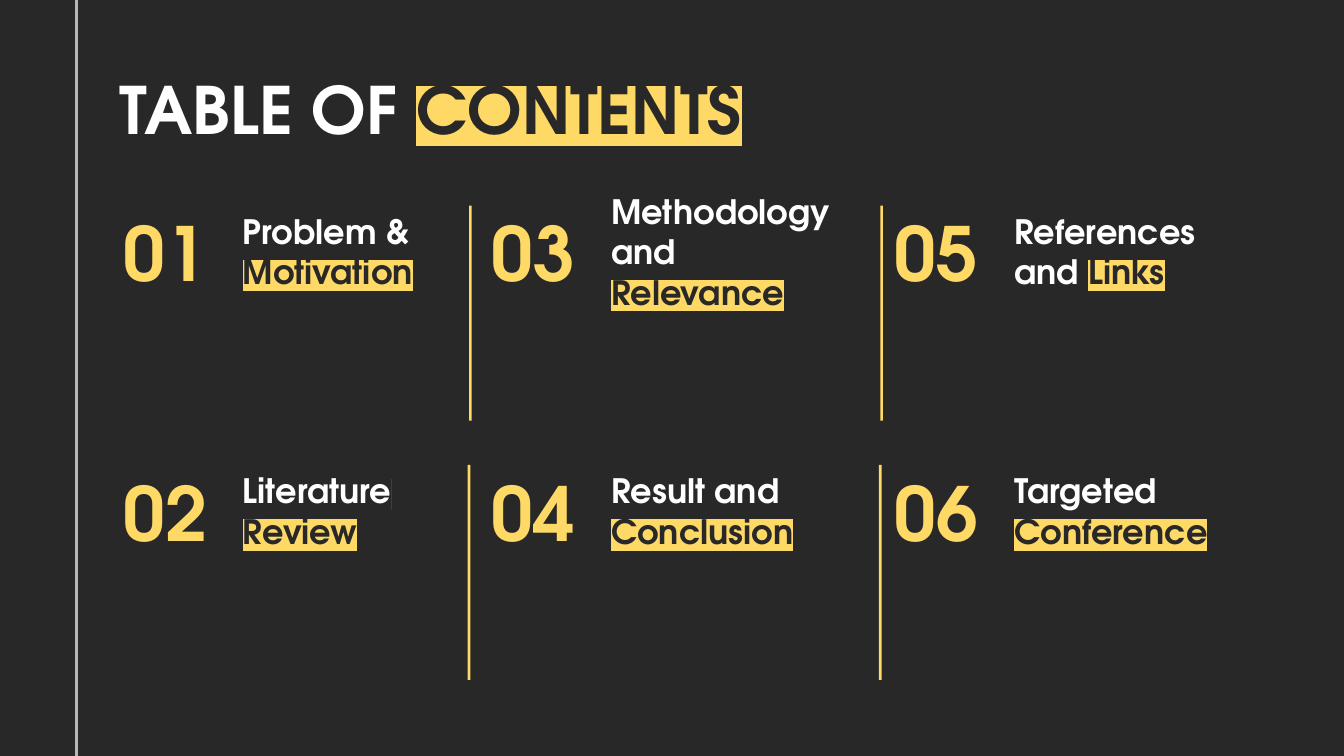
from dataclasses import dataclass

from lxml.etree import SubElement
from pptx import Presentation
from pptx.dml.color import RGBColor
from pptx.enum.shapes import MSO_SHAPE
from pptx.enum.text import MSO_ANCHOR
from pptx.oxml.ns import qn
from pptx.util import Inches, Pt


@dataclass(frozen=True)
class Theme:
    font: str = "TeX Gyre Adventor"
    dark: str = "292828"
    light: str = "FFFFFF"
    accent: str = "FFD966"
    margin_line: str = "B7B7B7"
    title_size: int = 35
    number_size: int = 40
    topic_size: int = 18


THEME = Theme()

# Each topic: plain words, highlighted words, width of its text box
COLUMNS = [
    (0.82, [("Problem & ", "Motivation", 1.74), ("Literature", " Review", 1.74)]),
    (3.56, [("Methodology and ", "Relevance", 1.99), ("Result and ", "Conclusion", 2.15)]),
    (6.56, [("References and ", "Links", 1.74), ("Targeted ", "Conference", 1.74)]),
]
ROW_TOPS = [1.43, 3.36]
DIVIDERS = [(3.49, 1.53), (6.55, 1.53), (3.48, 3.46), (6.54, 3.46)]


def highlight(run, color):
    properties = run.font._element
    marker = SubElement(properties, qn("a:highlight"))
    SubElement(marker, qn("a:srgbClr")).set("val", color)
    properties.find(qn("a:solidFill")).addnext(marker)


def add_text(slide, left, top, width, height, size, parts):
    """Add one paragraph of (text, color, highlight color or None) parts."""
    box = slide.shapes.add_textbox(Inches(left), Inches(top), Inches(width), Inches(height))
    frame = box.text_frame
    frame.word_wrap = True
    frame.vertical_anchor = MSO_ANCHOR.MIDDLE
    frame.margin_left = frame.margin_right = Inches(0.1)
    frame.margin_top = frame.margin_bottom = Inches(0.1)
    paragraph = frame.paragraphs[0]
    paragraph.font.name = THEME.font
    paragraph.font.size = Pt(size)
    paragraph.font.bold = True
    for text, color, marker in parts:
        run = paragraph.add_run()
        run.text = text
        run.font.color.rgb = RGBColor.from_string(color)
        if marker:
            highlight(run, marker)


def add_heading(slide, left, top, width, height, size, plain, marked):
    parts = [(plain, THEME.light, None), (marked, THEME.dark, THEME.accent)]
    add_text(slide, left, top, width, height, size, parts)


def add_bar(slide, left, top, height, color):
    bar = slide.shapes.add_shape(
        MSO_SHAPE.RECTANGLE, Inches(left), Inches(top), Inches(0.02), Inches(height)
    )
    bar.shadow.inherit = False
    bar.fill.solid()
    bar.fill.fore_color.rgb = RGBColor.from_string(color)
    bar.line.fill.background()


def add_topic(slide, left, top, number, plain, marked, width):
    add_text(slide, left, top + 0.12, 0.89, 0.65, THEME.number_size,
             [(f"{number:02}", THEME.accent, None)])
    add_heading(slide, left + 0.89, top, width, 0.88, THEME.topic_size, plain, marked)


def add_contents_slide(presentation):
    slide = presentation.slides.add_slide(presentation.slide_layouts[6])
    slide.background.fill.solid()
    slide.background.fill.fore_color.rgb = RGBColor.from_string(THEME.dark)

    add_bar(slide, 0.56, -0.01, 5.65, THEME.margin_line)
    add_heading(slide, 0.79, 0.49, 8.43, 0.63, THEME.title_size, "TABLE OF ", "CONTENTS")
    number = 1
    for left, topics in COLUMNS:
        for top, topic in zip(ROW_TOPS, topics):
            add_topic(slide, left, top, number, *topic)
            number += 1
    for left, top in DIVIDERS:
        add_bar(slide, left, top, 1.6, THEME.accent)


def main():
    presentation = Presentation()
    presentation.slide_width = Inches(10)
    presentation.slide_height = Inches(10) * 9 // 16
    add_contents_slide(presentation)
    presentation.save("out.pptx")


if __name__ == "__main__":
    main()
